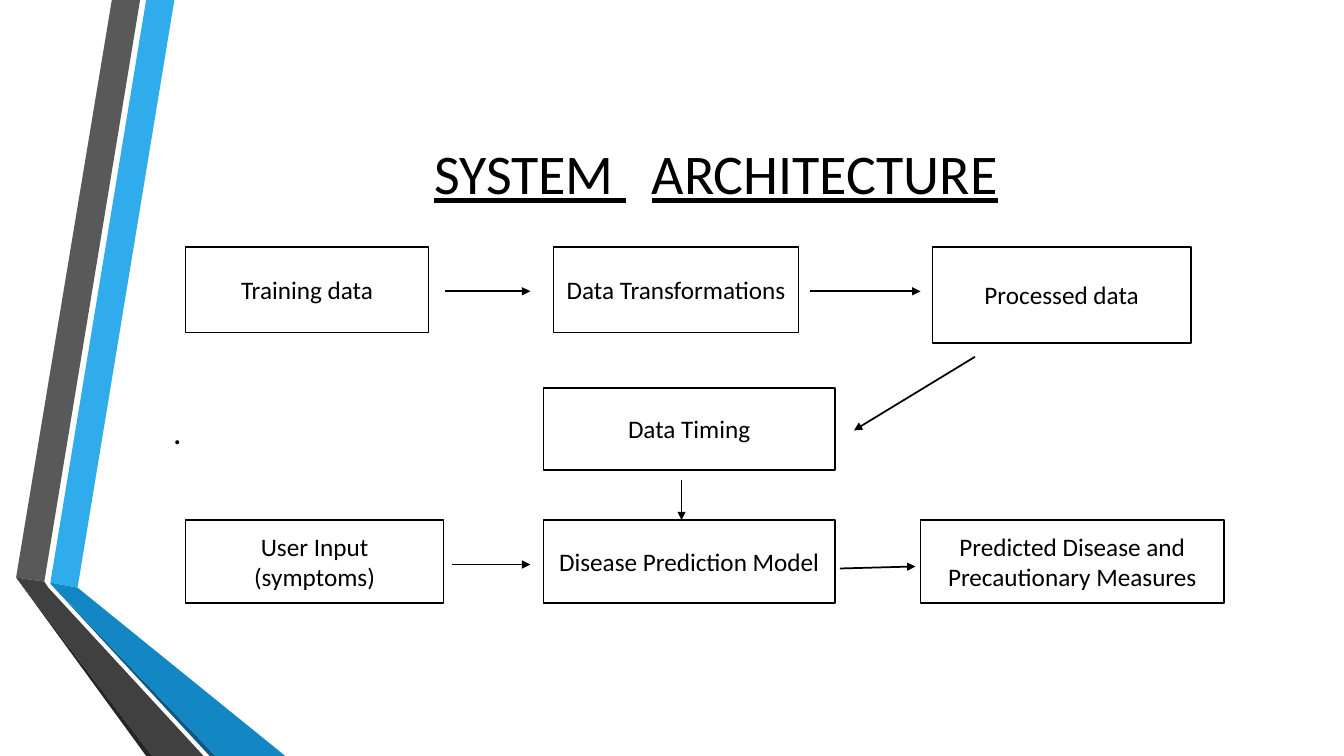
from dataclasses import dataclass

from lxml import etree
from pptx import Presentation
from pptx import util as u
from pptx.dml.color import RGBColor
from pptx.enum import shapes, text
from pptx.oxml import ns

BLACK = "000000"
WHITE = "FFFFFF"
LINE_WIDTH = u.Pt(1.25)
CENTER = text.PP_ALIGN.CENTER
LEFT = text.PP_ALIGN.LEFT


@dataclass
class Ribbon:
    color: str
    points: list[tuple[float, float]]


@dataclass
class Box:
    left: float
    top: float
    width: float
    height: float
    lines: list[str]


@dataclass
class Arrow:
    start: tuple[float, float]
    end: tuple[float, float]


RIBBONS = [
    Ribbon("30ACEC", [(0.5, 5.78), (0.77, 5.83), (1.73, 0), (1.45, 0)]),
    Ribbon("595959", [(1.39, 0), (1.11, 0), (0.16, 5.73), (0.44, 5.77)]),
    Ribbon("262626", [(0.16, 5.73), (1.45, 7.5), (1.51, 7.5)]),
    Ribbon("0C5A82", [(0.5, 5.79), (2.08, 7.5), (2.14, 7.5)]),
    Ribbon("1287C3", [(0.5, 5.79), (2.14, 7.5), (2.83, 7.5), (0.77, 5.83), (0.5, 5.78)]),
    Ribbon("404040", [(2.02, 7.5), (0.48, 5.83), (0.44, 5.77), (0.16, 5.73), (1.51, 7.5)]),
]

TOP_ROW, MIDDLE_ROW, BOTTOM_ROW = 2.45, 3.85, 5.16
BOXES = [
    Box(1.84, TOP_ROW, 2.41, 0.85, ["Training data"]),
    Box(5.49, TOP_ROW, 2.43, 0.85, ["Data Transformations"]),
    Box(9.25, TOP_ROW, 2.56, 0.95, ["Processed data"]),
    Box(5.39, MIDDLE_ROW, 2.89, 0.81, ["Data Timing"]),
    Box(1.84, BOTTOM_ROW, 2.56, 0.82, ["User Input", "(symptoms)"]),
    Box(5.39, BOTTOM_ROW, 2.89, 0.82, ["Disease Prediction Model"]),
    Box(9.13, BOTTOM_ROW, 3.01, 0.82, ["Predicted Disease and Precautionary Measures"]),
]

ARROWS = [
    Arrow((4.41, 2.89), (5.26, 2.89)),
    Arrow((8.03, 2.89), (9.13, 2.89)),
    Arrow((9.67, 3.54), (8.47, 4.27)),
    Arrow((6.76, 4.76), (6.76, 5.16)),
    Arrow((4.48, 5.6), (5.26, 5.6)),
    Arrow((8.33, 5.64), (9.08, 5.62)),
]

TITLE = Box(1.62, 0.75, 10.96, 1.92, ["SYSTEM"])
BODY = Box(1.62, 2.22, 11.06, 4.11, ["."])
TITLE_GAP = u.Pt(18)


def rgb(color: str) -> RGBColor:
    return RGBColor.from_string(color)


def apply_format(target, values: dict) -> None:
    for name, value in values.items():
        setattr(target, name, value)


def format_font(font, size: float, underline: bool = False) -> None:
    apply_format(font, {"name": "Calibri", "size": u.Pt(size), "underline": underline})
    font.color.rgb = rgb(BLACK)


def paint(shape, color: str) -> None:
    shape.shadow.inherit = False
    shape.fill.solid()
    shape.fill.fore_color.rgb = rgb(color)


def bounds(box: Box) -> list[u.Inches]:
    return [u.Inches(value) for value in (box.left, box.top, box.width, box.height)]


def write_lines(shape, lines: list[str], size: float, alignment, underline: bool = False) -> None:
    frame = shape.text_frame
    apply_format(frame, {"word_wrap": True, "vertical_anchor": text.MSO_ANCHOR.MIDDLE})
    for index, line in enumerate(lines):
        paragraph = frame.add_paragraph() if index else frame.paragraphs[0]
        paragraph.alignment = alignment
        run = paragraph.add_run()
        run.text = line
        format_font(run.font, size, underline)


def draw_ribbon(slide, ribbon: Ribbon) -> None:
    start, *rest = [(u.Inches(x), u.Inches(y)) for x, y in ribbon.points]
    builder = slide.shapes.build_freeform(*start)
    builder.add_line_segments(rest, close=True)
    shape = builder.convert_to_shape()
    paint(shape, ribbon.color)
    shape.line.fill.background()


def draw_title(slide) -> None:
    shape = slide.shapes.add_textbox(*bounds(TITLE))
    write_lines(shape, TITLE.lines, 40, CENTER, underline=True)
    paragraph = shape.text_frame.paragraphs[0]
    for words in (" ", "ARCHITECTURE"):
        run = paragraph.add_run()
        run.text = words
        format_font(run.font, 40, underline=True)
    gap = paragraph.runs[1].font
    gap._element.set("spc", str(int(TITLE_GAP.pt * 100)))


def draw_body(slide) -> None:
    shape = slide.shapes.add_textbox(*bounds(BODY))
    write_lines(shape, BODY.lines, 24, LEFT)
    shape.text_frame.paragraphs[0].space_after = u.Pt(6)


def draw_box(slide, box: Box) -> None:
    shape = slide.shapes.add_shape(shapes.MSO_SHAPE.RECTANGLE, *bounds(box))
    paint(shape, WHITE)
    shape.line.color.rgb = rgb(BLACK)
    shape.line.width = LINE_WIDTH
    write_lines(shape, box.lines, 18, CENTER)


def draw_arrow(slide, arrow: Arrow) -> None:
    ends = [u.Inches(value) for value in (*arrow.start, *arrow.end)]
    connector = slide.shapes.add_connector(shapes.MSO_CONNECTOR.STRAIGHT, *ends)
    connector.line.color.rgb = rgb(BLACK)
    connector.line.width = LINE_WIDTH
    properties = connector._element.spPr
    outline = properties.find(ns.qn("a:ln"))
    etree.SubElement(outline, ns.qn("a:tailEnd"), type="triangle")
    etree.SubElement(properties, ns.qn("a:effectLst"))


def main() -> None:
    presentation = Presentation()
    size = {"slide_width": u.Inches(13.33), "slide_height": u.Inches(7.5)}
    apply_format(presentation, size)
    slide = presentation.slides.add_slide(presentation.slide_layouts[6])
    for ribbon in RIBBONS:
        draw_ribbon(slide, ribbon)
    draw_title(slide)
    draw_body(slide)
    for box in BOXES:
        draw_box(slide, box)
    for arrow in ARROWS:
        draw_arrow(slide, arrow)
    presentation.save("out.pptx")


if __name__ == "__main__":
    main()
